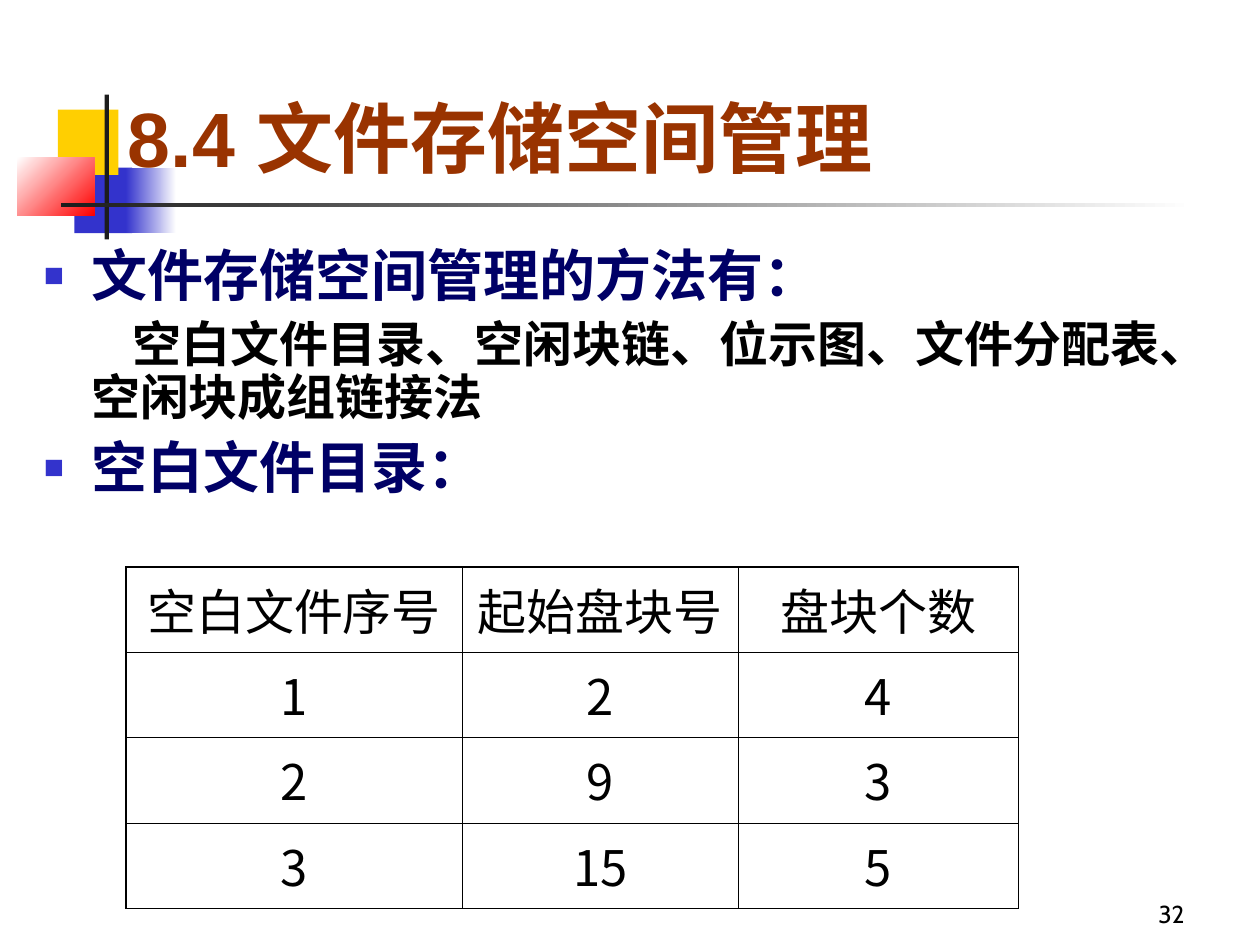
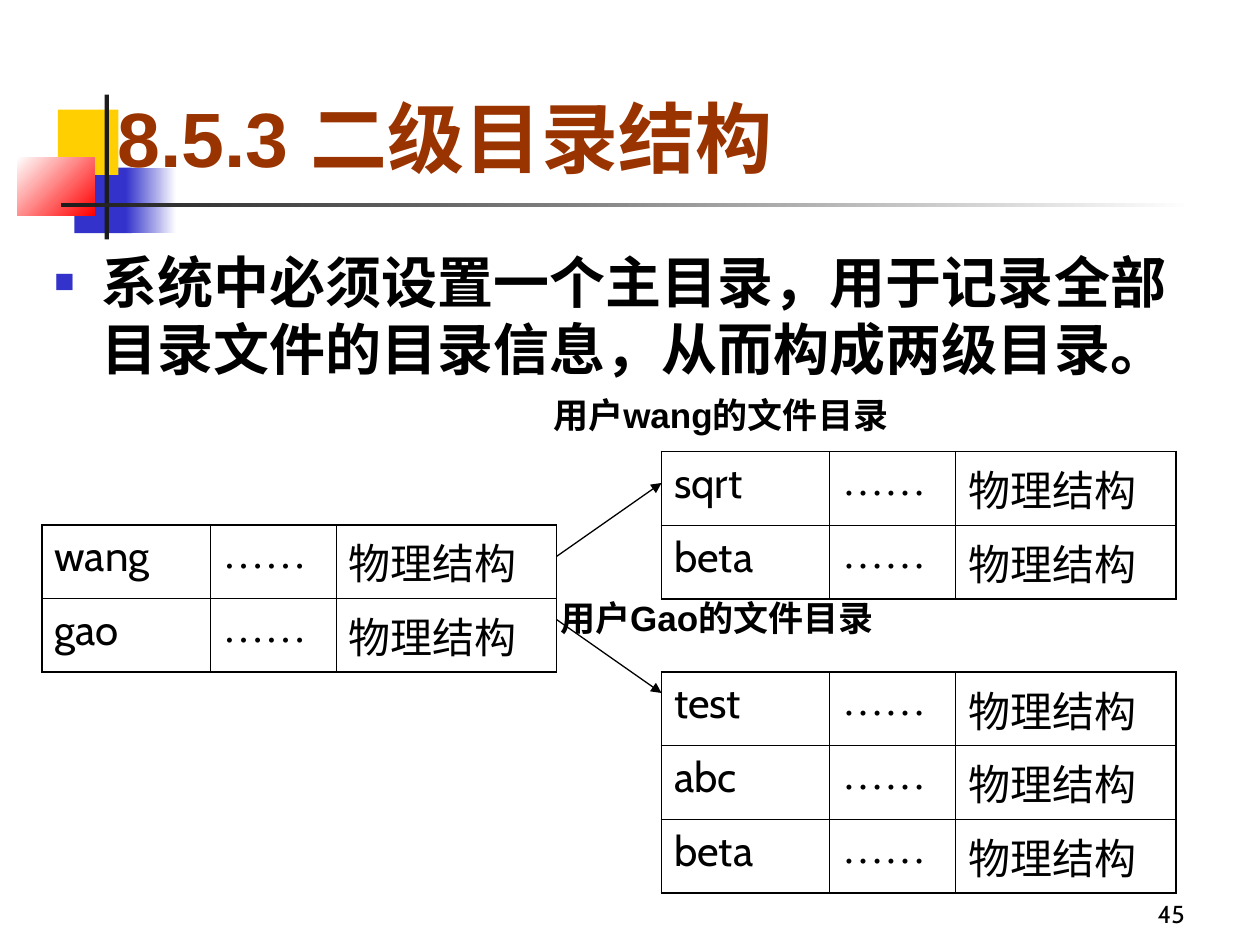
"""Two lecture slides on file storage: free space management and two-level directories."""
from dataclasses import dataclass
from typing import Optional, Sequence

from pptx import Presentation
from pptx.dml.color import RGBColor
from pptx.enum.shapes import MSO_CONNECTOR as Connector, MSO_SHAPE as Preset
from pptx.enum.text import MSO_ANCHOR as Anchor, PP_ALIGN as Align
from pptx.oxml.ns import qn
from pptx.util import Pt
from lxml.etree import SubElement

COLORS = {
    "blue": "3333CC", "yellow": "FFCF01", "red": "FF0000", "white": "FFFFFF",
    "dark": "1C1C1C", "title": "993300", "navy": "000066", "black": "000000",
}
CJK_FONT = "Noto Sans CJK SC"
OUTER_LINE, INNER_LINE, ARROW_LINE = 1.08, 0.45, 0.74


@dataclass(frozen=True)
class Box:
    """A rectangle in points."""
    left: float
    top: float
    width: float
    height: float

    def lengths(self) -> list:
        """Return the four lengths as Pt values."""
        return [Pt(value) for value in (self.left, self.top, self.width, self.height)]


@dataclass(frozen=True)
class Block:
    """A decoration rectangle, with a gradient when it has an end colour."""
    box: Box
    color: str
    end: Optional[str] = None
    angle: float = 0


@dataclass(frozen=True)
class Style:
    """The look of a text span."""
    size: float
    color: str = "black"
    bold: bool = False
    latin: str = "Arial"
    asian: str = "Cabin"


@dataclass(frozen=True)
class Para:
    """A paragraph with its style and spacing."""
    text: str
    style: Style
    bullet: bool = False
    margin: float = 0
    indent: float = 0
    before: float = 0
    spacing: float = 1.0
    align: Align = Align.LEFT


@dataclass(frozen=True)
class Grid:
    """A ruled table."""
    left: float
    top: float
    columns: Sequence[float]
    row_height: float
    rows: Sequence[Sequence[str]]
    styles: Sequence[Style]
    align: Align = Align.LEFT


TITLE = Style(44, "title", bold=True)
HEADING = Style(32, "navy", bold=True)
STATEMENT = Style(32, bold=True)
METHODS = Style(28, bold=True)
CAPTION = Style(20, bold=True)
NUMBER = Style(14, latin="Cabin")
BLOCK_CELL = Style(28, latin=CJK_FONT, asian=CJK_FONT)
ENTRY_CELL = Style(24, latin="Cabin", asian=CJK_FONT)
DOTS_CELL = Style(24, latin="Times New Roman", asian=CJK_FONT)

BLOCKS = [
    Block(Box(42.5, 95.8, 33.1, 37.4), "blue"),
    Block(Box(33.1, 62.6, 34.6, 37.4), "yellow"),
    Block(Box(72, 95.8, 28.8, 37.4), "blue", "white"),
    Block(Box(10, 90, 44, 33.1), "white", "red", 315),
    Block(Box(59.8, 54, 2.4, 82.8), "dark"),
    Block(Box(34.6, 116, 648, 2.4), "dark", "white"),
]
NUMBER_BOX = Box(534, 498, 150, 36)
HANGING = {"bullet": True, "margin": 27, "indent": -27}


def rgb(name: str) -> RGBColor:
    """Look up a named colour."""
    return RGBColor.from_string(COLORS[name])


def set_all(target, values: dict) -> None:
    """Set attributes from a dict of format values."""
    for name, value in values.items():
        setattr(target, name, value)


def add_bullet(para) -> None:
    """Give a paragraph a small blue square bullet."""
    props = para._p.get_or_add_pPr()
    color = SubElement(props, qn("a:buClr"))
    SubElement(color, qn("a:srgbClr"), val=COLORS["blue"])
    SubElement(props, qn("a:buSzPct"), val="60000")
    SubElement(props, qn("a:buFont"), typeface="Arial")
    SubElement(props, qn("a:buChar"), char="■")


def write_para(para, content: Para) -> None:
    """Fill a paragraph with styled text."""
    style = content.style
    set_all(para, {"alignment": content.align, "space_before": Pt(content.before),
                   "line_spacing": content.spacing})
    props = para._p.get_or_add_pPr()
    props.set("marL", str(Pt(content.margin)))
    props.set("indent", str(Pt(content.indent)))
    if content.bullet:
        add_bullet(para)
    span = para.add_run()
    span.text = content.text
    set_all(span.font, {"size": Pt(style.size), "bold": style.bold, "name": style.latin})
    span.font.color.rgb = rgb(style.color)
    SubElement(span._r.get_or_add_rPr(), qn("a:ea"), typeface=style.asian)


def add_text(page, box: Box, paras: Sequence[Para], anchor: Anchor = Anchor.TOP) -> None:
    """Add a wrapping text box."""
    frame = page.shapes.add_textbox(*box.lengths()).text_frame
    set_all(frame, {"word_wrap": True, "vertical_anchor": anchor})
    for index, content in enumerate(paras):
        write_para(frame.add_paragraph() if index else frame.paragraphs[0], content)


def add_block(page, block: Block) -> None:
    """Draw one decoration rectangle."""
    shape = page.shapes.add_shape(Preset.RECTANGLE, *block.box.lengths())
    shape.shadow.inherit = False
    shape.line.fill.background()
    if block.end is None:
        shape.fill.solid()
        shape.fill.fore_color.rgb = rgb(block.color)
        return
    shape.fill.gradient()
    shape.fill.gradient_angle = block.angle
    for stop, name in zip(shape.fill.gradient_stops, (block.color, block.end)):
        stop.color.rgb = rgb(name)


def add_borders(cell, widths: dict) -> None:
    """Rule the sides of a cell; widths are points by line tag."""
    props = cell._tc.get_or_add_tcPr()
    for tag, width in widths.items():
        line = SubElement(props, qn(f"a:{tag}"), w=str(Pt(width)))
        fill = SubElement(line, qn("a:solidFill"))
        SubElement(fill, qn("a:srgbClr"), val=COLORS["black"])


def add_grid(page, grid: Grid) -> None:
    """Add a table with a heavier outer frame and no fill."""
    row_count, column_count = len(grid.rows), len(grid.columns)
    box = Box(grid.left, grid.top, sum(grid.columns), grid.row_height * row_count)
    table = page.shapes.add_table(row_count, column_count, *box.lengths()).table
    set_all(table, {"first_row": False, "horz_banding": False})
    for column, width in zip(table.columns, grid.columns):
        column.width = Pt(width)
    for y, texts in enumerate(grid.rows):
        table.rows[y].height = Pt(grid.row_height)
        for x, text in enumerate(texts):
            cell = table.cell(y, x)
            edges = {"lnL": x == 0, "lnR": x == column_count - 1,
                     "lnT": y == 0, "lnB": y == row_count - 1}
            add_borders(cell, {tag: OUTER_LINE if outer else INNER_LINE
                               for tag, outer in edges.items()})
            cell.fill.background()
            write_para(cell.text_frame.paragraphs[0],
                       Para(text, grid.styles[x], align=grid.align))


def add_directory(page, left: float, top: float, names: Sequence[str]) -> None:
    """Add a directory table with one row for each entry name."""
    add_grid(page, Grid(left, top, (96, 72, 126), 42.1,
                        [(name, "……", "物理结构") for name in names],
                        (ENTRY_CELL, DOTS_CELL, ENTRY_CELL)))


def add_arrow(page, start: tuple, end: tuple) -> None:
    """Draw a thin line with a triangle head at its end."""
    arrow = page.shapes.add_connector(Connector.STRAIGHT, *map(Pt, start + end))
    arrow.line.width = Pt(ARROW_LINE)
    arrow.line.color.rgb = rgb("black")
    SubElement(arrow.line._get_or_add_ln(), qn("a:tailEnd"), type="triangle")
    SubElement(arrow._element.spPr, qn("a:effectLst"))


def add_page(deck, title: str, title_box: Box, number: int):
    """Add a blank slide with the shared blocks, page number and title."""
    page = deck.slides.add_slide(deck.slide_layouts[6])
    for block in BLOCKS:
        add_block(page, block)
    add_text(page, NUMBER_BOX, [Para(str(number), NUMBER, align=Align.RIGHT)], Anchor.BOTTOM)
    add_text(page, title_box, [Para(title, TITLE)], Anchor.BOTTOM)
    return page


def build_free_space(deck) -> None:
    """Build the slide on free space management."""
    page = add_page(deck, "8.4 文件存储空间管理", Box(66, 18, 630, 90), 32)
    add_text(page, Box(18, 138, 687, 162), [
        Para("文件存储空间管理的方法有：", HEADING, before=8, spacing=0.9, **HANGING),
        Para("空白文件目录、空闲块链、位示图、文件分配表、空闲块成组链接法", METHODS,
             margin=27, indent=23.5, before=7, spacing=0.9),
        Para("空白文件目录：", HEADING, before=8, spacing=0.9, **HANGING),
    ])
    add_grid(page, Grid(72, 324, (192, 158, 160), 48.8, [
        ("空白文件序号", "起始盘块号", "盘块个数"),
        ("1", "2", "4"),
        ("2", "9", "3"),
        ("3", "15", "5"),
    ], (BLOCK_CELL,) * 3, Align.CENTER))


def build_two_levels(deck) -> None:
    """Build the slide on the two-level directory."""
    page = add_page(deck, "8.5.3 二级目录结构", Box(60, 18, 636, 90), 45)
    add_text(page, Box(24, 138, 681, 90), [
        Para("系统中必须设置一个主目录，用于记录全部目录文件的目录信息，从而构成两级目录。",
             STATEMENT, before=8, **HANGING)])
    for left, top, user in ((309, 221.5, "wang"), (313, 337.5, "Gao")):
        add_text(page, Box(left, top, 260, 32), [Para(f"用户{user}的文件目录", CAPTION)])
    add_directory(page, 378, 258, ("sqrt", "beta"))
    add_directory(page, 378, 384, ("test", "abc", "beta"))
    add_directory(page, 24, 300, ("wang", "gao"))
    add_arrow(page, (318, 318), (378, 276))
    add_arrow(page, (318, 354), (378, 396))


def main() -> None:
    """Build and save the deck."""
    deck = Presentation()
    set_all(deck, {"slide_width": Pt(720), "slide_height": Pt(540)})
    build_free_space(deck)
    build_two_levels(deck)
    deck.save("out.pptx")


main()
